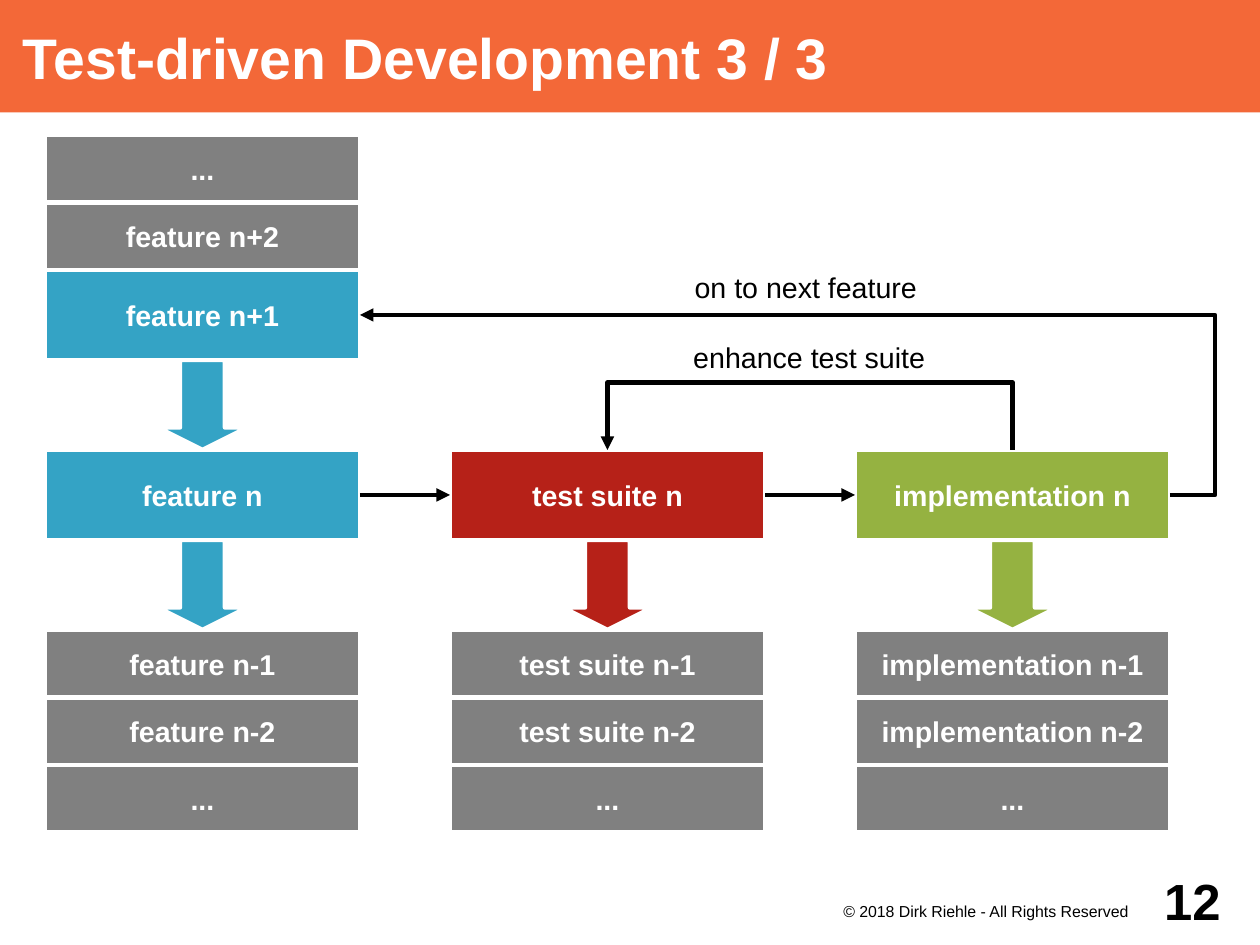
"""Build the test-driven development slide on a grid of half centimetres."""
from pptx import Presentation
from pptx.dml.color import RGBColor
from pptx.enum.shapes import MSO_CONNECTOR, MSO_SHAPE
from pptx.enum.text import MSO_ANCHOR, PP_ALIGN
from pptx.oxml.ns import qn
from pptx.oxml.xmlchemy import OxmlElement
from pptx.util import Inches, Pt

GRID = 0.5 / 2.54
ORANGE = RGBColor(0xF3, 0x68, 0x38)
BLUE = RGBColor(0x34, 0xA3, 0xC5)
RED = RGBColor(0xB6, 0x21, 0x18)
GREEN = RGBColor(0x95, 0xB2, 0x41)
GRAY = RGBColor(0x80, 0x80, 0x80)
WHITE = RGBColor(0xFF, 0xFF, 0xFF)
BLACK = RGBColor(0, 0, 0)
LINE_WIDTH = Pt(2.83)
COLUMNS = [("feature", BLUE), ("test suite", RED), ("implementation", GREEN)]


def grid(*units):
    return [Inches(u * GRID) for u in units]


def write(sp, text, size, color, bold=False, align=PP_ALIGN.CENTER,
          anchor=MSO_ANCHOR.MIDDLE, insets=(0.1, 0.05, 0.1, 0.05), wrap=True):
    tf = sp.text_frame
    tf.word_wrap = wrap
    tf.vertical_anchor = anchor
    tf.margin_left, tf.margin_top, tf.margin_right, tf.margin_bottom = map(Inches, insets)
    p = tf.paragraphs[0]
    p.alignment = align
    r = p.add_run()
    r.text = text
    r.font.name = "Arial"
    r.font.size = Pt(size)
    r.font.bold = bold
    r.font.color.rgb = color


def add_title(s, text):
    sp = s.shapes.title
    sp.left, sp.top, sp.width, sp.height = grid(0, 0, 56, 5)
    sp.fill.solid()
    sp.fill.fore_color.rgb = ORANGE
    write(sp, text, 36, WHITE, True, PP_ALIGN.LEFT, insets=(0.2, 0, 0, 0))


def add_block(s, preset, x, y, w, h, color):
    sp = s.shapes.add_shape(preset, *grid(x, y, w, h))
    sp.shadow.inherit = False
    sp.fill.solid()
    sp.fill.fore_color.rgb = color
    sp.line.color.rgb = WHITE
    sp.line.width = LINE_WIDTH
    return sp


def add_box(s, x, y, h, color, text):
    sp = add_block(s, MSO_SHAPE.RECTANGLE, x, y, 14, h, color)
    write(sp, text, 18, WHITE, True, wrap=False)


def add_down_arrow(s, x, y, color):
    sp = add_block(s, MSO_SHAPE.DOWN_ARROW, x, y, 4, 4, color)
    sp.adjustments[0], sp.adjustments[1] = 0.5, 0.25


def style_arrow(sp):
    sp.line.color.rgb = BLACK
    sp.line.width = LINE_WIDTH
    tail = OxmlElement("a:tailEnd")
    tail.set("type", "triangle")
    spPr = sp._element.spPr
    spPr.find(qn("a:ln")).append(tail)
    spPr.append(OxmlElement("a:effectLst"))


def add_arrow(s, x1, x2, y):
    style_arrow(s.shapes.add_connector(MSO_CONNECTOR.STRAIGHT, *grid(x1, y, x2, y)))


def add_bent_arrow(s, points):
    start, *rest = [grid(*point) for point in points]
    builder = s.shapes.build_freeform(*start)
    builder.add_line_segments(rest, close=False)
    sp = builder.convert_to_shape()
    sp.fill.background()
    style_arrow(sp)


def add_text(s, box, text, size, **style):
    sp = s.shapes.add_textbox(*map(Inches, box))
    write(sp, text, size, BLACK, **style)


def add_label(s, x, y, w, text):
    add_text(s, (x, y, w, 0.38), text, 18,
             anchor=MSO_ANCHOR.BOTTOM, insets=(0.08,) * 4)


def main():
    prs = Presentation()
    prs.slide_width = Inches(56 * GRID)
    prs.slide_height = Inches(42 * GRID)
    s = prs.slides.add_slide(prs.slide_layouts[5])
    add_title(s, "Test-driven Development 3 / 3")

    add_down_arrow(s, 7, 16, BLUE)
    for i, (name, color) in enumerate(COLUMNS):
        x = 2 + 18 * i
        add_down_arrow(s, x + 5, 24, color)
        add_box(s, x, 20, 4, color, f"{name} n")
        for row, text in enumerate([f"{name} n-1", f"{name} n-2", "..."]):
            add_box(s, x, 28 + 3 * row, 3, GRAY, text)
    add_box(s, 2, 6, 3, GRAY, "...")
    add_box(s, 2, 9, 3, GRAY, "feature n+2")
    add_box(s, 2, 12, 4, BLUE, "feature n+1")

    add_arrow(s, 16, 20, 22)
    add_arrow(s, 34, 38, 22)
    add_bent_arrow(s, [(52, 22), (54, 22), (54, 14), (16, 14)])
    add_bent_arrow(s, [(45, 20), (45, 17), (27, 17), (27, 20)])
    add_label(s, 5.3, 2.36, 3.5, "on to next feature")
    add_label(s, 5.31, 2.97, 3.54, "enhance test suite")

    add_text(s, (7.09, 7.87, 3.15, 0.39), "© 2018 Dirk Riehle - All Rights Reserved", 10,
             align=PP_ALIGN.RIGHT, anchor=MSO_ANCHOR.TOP, insets=(0, 0.02, 0.37, 0))
    add_text(s, (10.04, 7.48, 0.98, 0.79), "12", 32, bold=True,
             align=PP_ALIGN.RIGHT, insets=(0, 0, 0.34, 0))
    prs.save("out.pptx")


if __name__ == "__main__":
    main()
